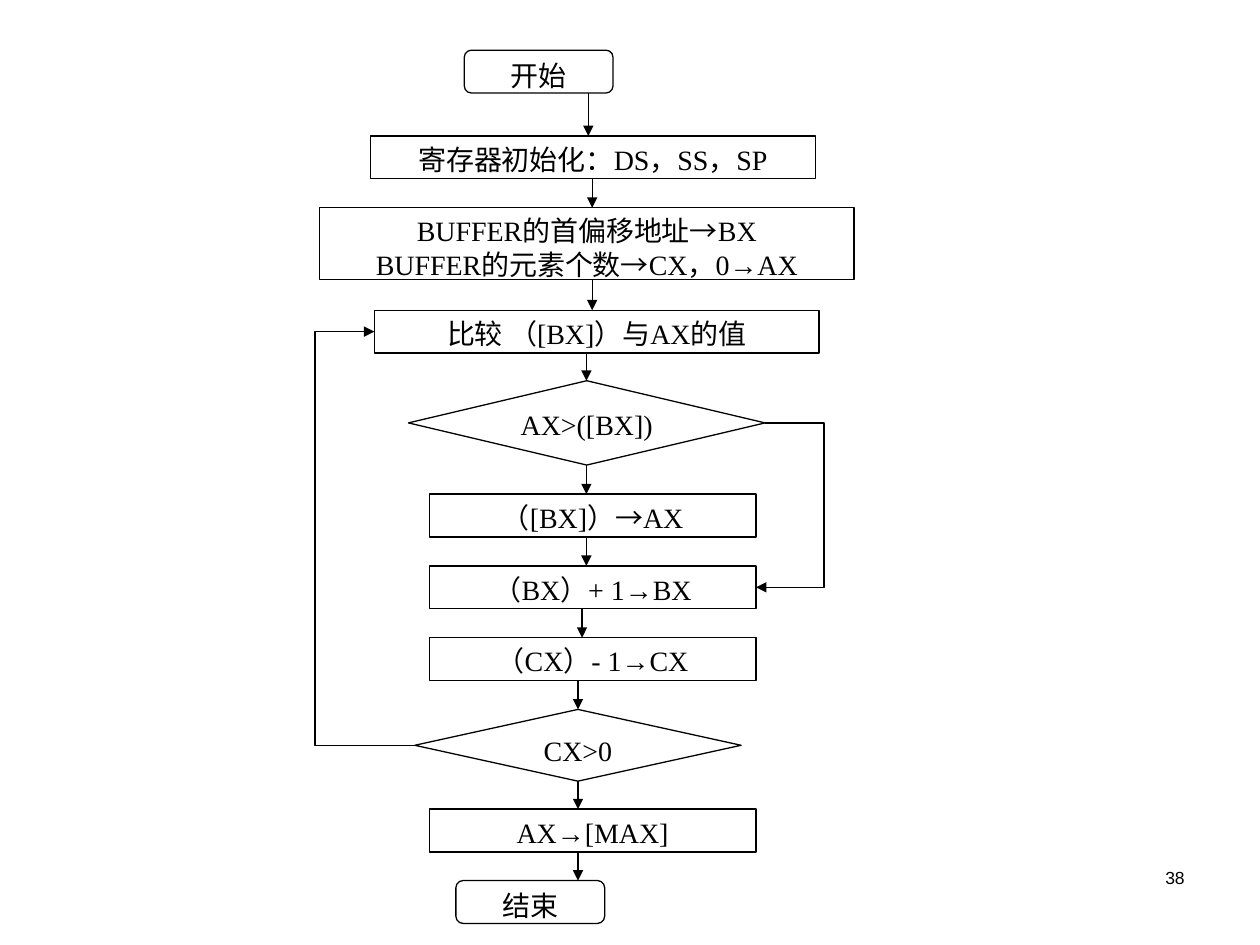
from itertools import pairwise

from lxml import etree
from pptx import Presentation
from pptx.dml.color import RGBColor
from pptx.enum.shapes import MSO_CONNECTOR, MSO_SHAPE
from pptx.enum.text import MSO_ANCHOR, PP_ALIGN
from pptx.oxml.ns import qn
from pptx.util import Pt

INK = "000000"
STEP_FONT = {"name": "Times New Roman", "size": Pt(16)}
NUMBER_FONT = {"name": "Arial", "size": Pt(10)}
TERMINAL = MSO_SHAPE.FLOWCHART_ALTERNATE_PROCESS
PROCESS = MSO_SHAPE.RECTANGLE
DECISION = MSO_SHAPE.FLOWCHART_DECISION

# Steps from top to bottom: kind, lines, left, top, width, height
STEPS = [
    (TERMINAL, ["开始"], 85.3, 0, 85, 24.5),
    (PROCESS, ["寄存器初始化：DS，SS，SP"], 31.7, 49, 254.2, 24.5),
    (PROCESS, ["BUFFER的首偏移地址→BX", "BUFFER的元素个数→CX，0→AX"],
     2.7, 90, 305.3, 41),
    (PROCESS, ["比较 （[BX]）与AX的值"], 33.9, 148.6, 254.2, 24.5),
    (DECISION, ["AX>([BX])"], 53.4, 188.9, 203.8, 48.2),
    (PROCESS, ["（[BX]）→AX"], 65.3, 253.7, 186.7, 24.5),
    (PROCESS, ["（BX）+ 1→BX"], 65.3, 294.7, 186.7, 24.5),
    (PROCESS, ["（CX）- 1→CX"], 65.3, 335.7, 186.7, 24.5),
    (DECISION, ["CX>0"], 57, 376.7, 186.5, 41),
    (PROCESS, ["AX→[MAX]"], 65.3, 433.7, 186.7, 24.5),
    (TERMINAL, ["结束"], 80.5, 474.5, 85, 24.5),
]
ARROW_COLUMNS = [156.2, 158.4, 158.4, 155.1, 155.1, 155.1, 152.6, 150.3, 150.3, 150.3]


def color(value):
    return RGBColor.from_string(value)


def write(shape, lines, alignment, font):
    frame = shape.text_frame
    for name, value in {"word_wrap": True, "vertical_anchor": MSO_ANCHOR.TOP}.items():
        setattr(frame, name, value)
    for index, line in enumerate(lines):
        paragraph = frame.paragraphs[0] if index == 0 else frame.add_paragraph()
        paragraph.alignment = alignment
        run = paragraph.add_run()
        run.text = line
        for name, value in font.items():
            setattr(run.font, name, value)
        run.font.color.rgb = color(INK)


def outline(shape):
    shape.line.color.rgb = color(INK)
    shape.line.width = Pt(0.74)


def add_step(shapes, kind, lines, left, top, width, height):
    shape = shapes.add_shape(kind, Pt(left), Pt(top), Pt(width), Pt(height))
    shape.shadow.inherit = False
    shape.fill.background()
    outline(shape)
    write(shape, lines, PP_ALIGN.CENTER, STEP_FONT)


def add_arrow(shapes, start, end, turn=None):
    """Straight arrow, or an elbow whose vertical part lies at x = turn."""
    kind = MSO_CONNECTOR.STRAIGHT if turn is None else MSO_CONNECTOR.ELBOW
    arrow = shapes.add_connector(kind, *(Pt(value) for value in (*start, *end)))
    outline(arrow)
    properties = arrow._element.spPr
    line = properties.find(qn("a:ln"))
    etree.SubElement(line, qn("a:tailEnd"), type="triangle")
    etree.SubElement(properties, qn("a:effectLst"))
    if turn is not None:
        share = round((turn - start[0]) / (end[0] - start[0]) * 100000)
        guides = properties.find(qn("a:prstGeom")).find(qn("a:avLst"))
        etree.SubElement(guides, qn("a:gd"), name="adj1", fmla=f"val {share}")


def add_flowchart(slide, left, top):
    shapes = slide.shapes.add_group_shape().shapes
    boxes = [(left + x, top + y, width, height) for _, _, x, y, width, height in STEPS]
    for (kind, lines, *_), box in zip(STEPS, boxes):
        add_step(shapes, kind, lines, *box)

    # Downward flow
    for column, (upper, lower) in zip(ARROW_COLUMNS, pairwise(boxes)):
        x = left + column
        add_arrow(shapes, (x, upper[1] + upper[3]), (x, lower[1]))

    # Loop back on the left, skip branch on the right
    def side(index, fraction):
        x, y, width, height = boxes[index]
        return x + width * fraction, y + height / 2

    add_arrow(shapes, side(8, 0), side(3, 0), left)
    add_arrow(shapes, side(4, 1), side(6, 1), left + 291)


def add_page_number(slide, left, top, width, height):
    box = slide.shapes.add_textbox(Pt(left), Pt(top), Pt(width), Pt(height))
    write(box, ["38"], PP_ALIGN.RIGHT, NUMBER_FONT)


presentation = Presentation()
presentation.slide_width, presentation.slide_height = Pt(720), Pt(540)
slide = presentation.slides.add_slide(presentation.slide_layouts[6])
add_flowchart(slide, 180, 28.7)
add_page_number(slide, 516, 492, 168, 36)
presentation.save("out.pptx")
